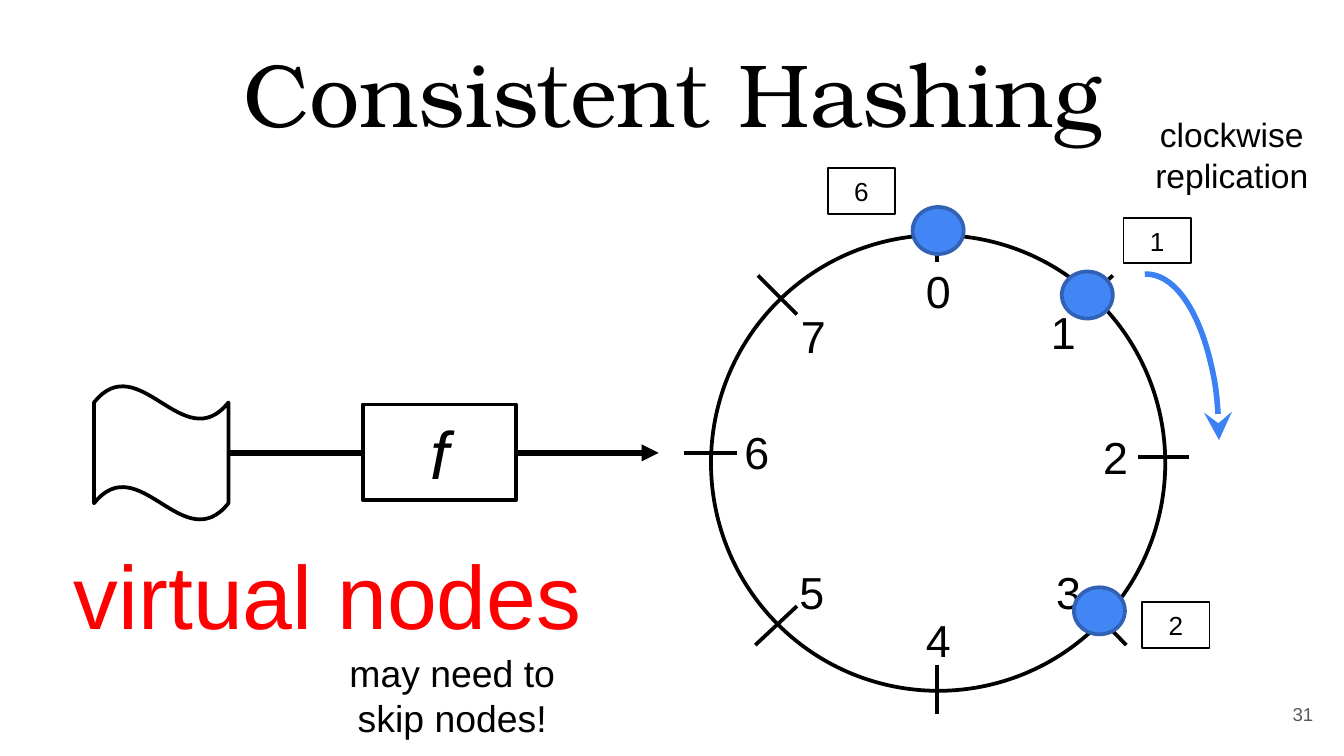
from lxml.etree import SubElement
from pptx import Presentation
from pptx.dml.color import RGBColor
from pptx.enum.shapes import MSO_CONNECTOR, MSO_SHAPE
from pptx.enum.text import MSO_ANCHOR, PP_ALIGN
from pptx.oxml.ns import qn
from pptx.util import Inches, Pt

BLACK = RGBColor(0x00, 0x00, 0x00)
WHITE = RGBColor(0xFF, 0xFF, 0xFF)
RED = RGBColor(0xFF, 0x00, 0x00)
GRAY = RGBColor(0x59, 0x59, 0x59)
BLUE = RGBColor(0x42, 0x85, 0xF4)
NAVY = RGBColor(0x31, 0x62, 0xB5)
SKY = RGBColor(0x3C, 0x81, 0xF3)

TICKS = [
    (6.97, 1.6, 6.97, 1.95), (8.28, 2.05, 7.97, 2.34),
    (8.47, 3.4, 8.85, 3.4), (8.38, 4.8, 8.1, 4.51),
    (6.97, 4.95, 6.97, 5.31), (5.93, 4.51, 5.62, 4.8),
    (5.09, 3.37, 5.48, 3.37), (5.93, 2.34, 5.64, 2.05),
]
LABELS = [
    (6.79, 1.91), (7.72, 2.22), (8.11, 3.15), (7.76, 4.15),
    (6.79, 4.51), (5.85, 4.15), (5.44, 3.11), (5.86, 2.25),
]
NODES = [(6.79, 1.54), (7.9, 2.02), (7.99, 4.37)]
TAGS = [("1", 8.36, 1.62), ("2", 8.5, 4.48), ("6", 6.16, 1.25)]


def write(shape, text, size, color=BLACK, align=PP_ALIGN.CENTER,
          font="Arial", anchor=MSO_ANCHOR.TOP, wrap=True, pad=0.05):
    frame = shape.text_frame
    frame.word_wrap = wrap
    frame.vertical_anchor = anchor
    frame.margin_top = frame.margin_bottom = Inches(pad)
    para = frame.paragraphs[0]
    para.text = text
    para.alignment = align
    para.font.size = Pt(size)
    para.font.name = font
    para.font.color.rgb = color
    return para


def add_text(slide, box, text, size, **style):
    shape = slide.shapes.add_textbox(*map(Inches, box))
    return write(shape, text, size, **style)


def add_form(slide, kind, box, line=BLACK, width=2, fill=None):
    shape = slide.shapes.add_shape(kind, *map(Inches, box))
    shape.shadow.inherit = False
    shape.line.color.rgb = line
    shape.line.width = Pt(width)
    if fill is None:
        shape.fill.background()
    else:
        shape.fill.solid()
        shape.fill.fore_color.rgb = fill
    return shape


def add_line(slide, ends, width=2):
    line = slide.shapes.add_connector(MSO_CONNECTOR.STRAIGHT, *map(Inches, ends))
    line.line.color.rgb = BLACK
    line.line.width = Pt(width)
    SubElement(line._element.spPr, qn("a:effectLst"))
    return line


def add_head(shape, kind, size="med"):
    line = shape.line._get_or_add_ln()
    SubElement(line, qn("a:tailEnd"), type=kind, w=size, len=size)


def add_flow(slide):
    add_head(add_line(slide, (1.7, 3.37, 4.9, 3.37), 3), "triangle")
    add_form(slide, MSO_SHAPE.WAVE, (0.7, 2.87, 1, 1))
    box = add_form(slide, MSO_SHAPE.RECTANGLE, (2.7, 3.01, 1.14, 0.71), fill=WHITE)
    write(box, "f", 36, anchor=MSO_ANCHOR.MIDDLE).font.italic = True


def add_ring(slide):
    add_form(slide, MSO_SHAPE.OVAL, (5.29, 1.75, 3.38, 3.39))
    for ends in TICKS:
        add_line(slide, ends)
    for num, (left, top) in enumerate(LABELS):
        add_text(slide, (left, top, 0.39, 0.5), str(num), 24,
                 align=PP_ALIGN.LEFT, wrap=False)
    for left, top in NODES:
        add_form(slide, MSO_SHAPE.FLOWCHART_CONNECTOR, (left, top, 0.38, 0.35),
                 line=NAVY, fill=BLUE)
    for text, left, top in TAGS:
        tag = add_form(slide, MSO_SHAPE.RECTANGLE, (left, top, 0.5, 0.34), width=1)
        write(tag, text, 14, anchor=MSO_ANCHOR.MIDDLE)


def add_arc(slide):
    arc = add_form(slide, MSO_SHAPE.ARC, (7.99, 2.04, 1.08, 2.47), line=SKY, width=3)
    arc.adjustments[0] = 161.66
    arc.adjustments[1] = 0
    add_head(arc, "stealth", "lg")


def main():
    """Build the consistent hashing slide."""
    deck = Presentation()
    deck.slide_width = Inches(10)
    deck.slide_height = deck.slide_width * 9 // 16
    slide = deck.slides.add_slide(deck.slide_layouts[6])
    add_text(slide, (0.36, 0.18, 9.29, 1.42), "Consistent Hashing", 48,
             font="TeX Gyre Bonum", pad=0.1)
    add_text(slide, (9.27, 5.1, 0.6, 0.43), "31", 10, color=GRAY,
             align=PP_ALIGN.RIGHT, anchor=MSO_ANCHOR.MIDDLE, pad=0.1)
    add_flow(slide)
    add_ring(slide)
    add_text(slide, (0.45, 3.97, 4.02, 0.91), "virtual nodes", 48, color=RED,
             align=PP_ALIGN.LEFT, wrap=False)
    add_arc(slide)
    add_text(slide, (8.17, 0.8, 1.99, 0.71), "clockwise replication", 18)
    add_text(slide, (2.37, 4.79, 1.99, 0.77), "may need to skip nodes!", 20)
    deck.save("out.pptx")


if __name__ == "__main__":
    main()
